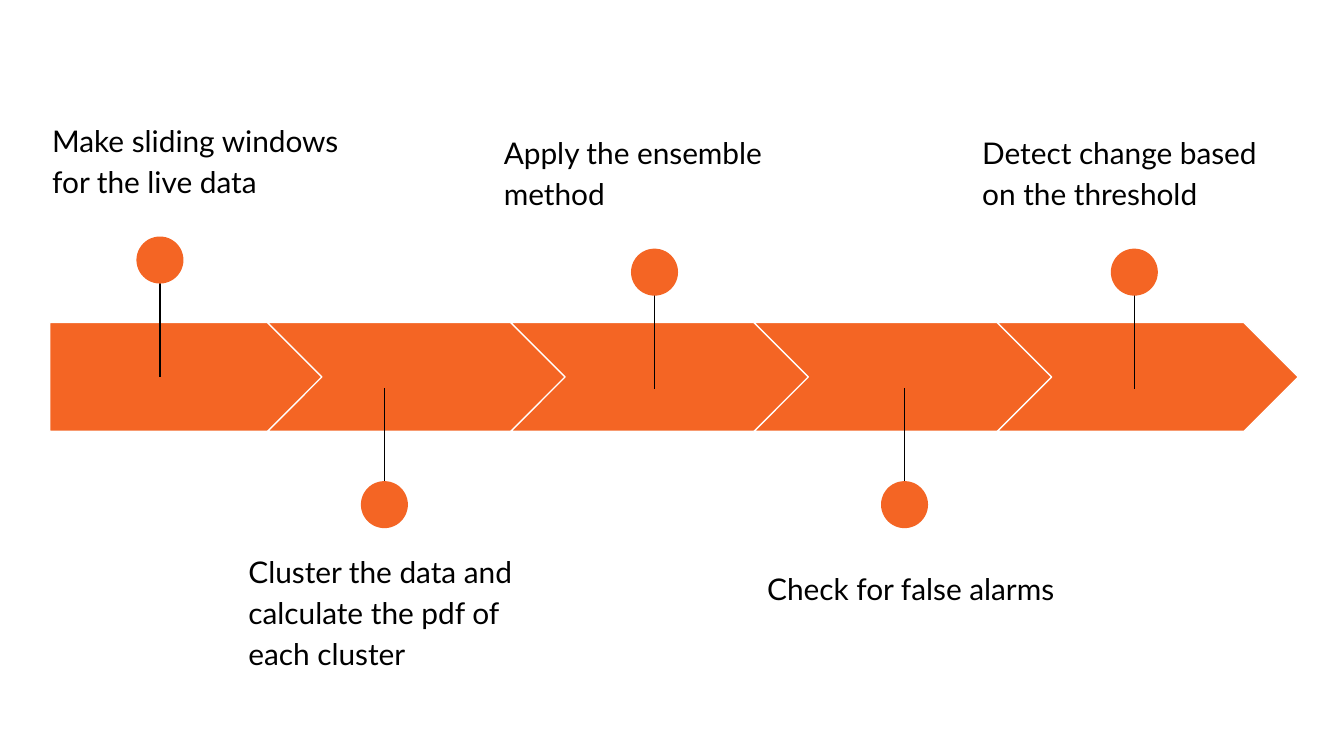
from pptx import Presentation
from pptx.dml.color import RGBColor
from pptx.enum.shapes import MSO_CONNECTOR, MSO_SHAPE
from pptx.enum.text import MSO_ANCHOR
from pptx.oxml.ns import qn
from pptx.util import Inches, Pt
from lxml.etree import SubElement

HUES = {"step": "F46524", "edge": "FFFFFF", "ink": "000000"}
DOT = 0.35
STEM = 0.97

# Widescreen slide, 16:9
deck = Presentation()
deck.slide_width = Inches(10)
deck.slide_height = Inches(10 * 9 / 16)
slide = deck.slides.add_slide(deck.slide_layouts[6])
shapes = slide.shapes


def add_text(text, left, top, width=2.45, height=0.99, size=16, font="Lato", hue="ink"):
    frame = shapes.add_textbox(*map(Inches, (left, top, width, height))).text_frame
    frame.word_wrap = True
    frame.vertical_anchor = MSO_ANCHOR.TOP
    frame.margin_left = frame.margin_right = Inches(0.1)
    frame.margin_top = frame.margin_bottom = Inches(0.1)
    para = frame.paragraphs[0]
    para.line_spacing = 1.15
    para.space_after = Pt(16)
    run = para.add_run()
    run.text = text
    run.font.size = Pt(size)
    run.font.name = font
    run.font.color.rgb = RGBColor.from_string(HUES[hue])


def add_form(kind, left, top, width, height, edge=None):
    form = shapes.add_shape(kind, *map(Inches, (left, top, width, height)))
    form.shadow.inherit = False
    form.fill.solid()
    form.fill.fore_color.rgb = RGBColor.from_string(HUES["step"])
    if edge:
        form.line.color.rgb = RGBColor.from_string(HUES[edge])
        form.line.width = Pt(0.75)
    else:
        form.line.fill.background()


# Arrow band: one pentagon, then four chevrons at an equal pitch
add_form(MSO_SHAPE.PENTAGON, 0.37, 2.4, 2.05, 0.81, edge="edge")
for i in range(4):
    add_form(MSO_SHAPE.CHEVRON, 1.99 + 1.81 * i, 2.4, 2.24, 0.81, edge="edge")

# Steps: text, text left, text top, pin centre, dot top, stem direction
steps = [
    ("Make sliding windows for the live data", 0.29, 0.77, 1.19, 1.76, 1),
    ("Cluster the data and calculate the pdf of each cluster", 1.75, 3.98, 2.86, 3.58, -1),
    ("Apply the ensemble method", 3.65, 0.86, 4.87, 1.85, 1),
    ("Check for false alarms", 5.61, 4.11, 6.73, 3.58, -1),
    ("Detect change based on the threshold", 7.21, 0.86, 8.44, 1.85, 1),
]
for text, left, top, mid, head, way in steps:
    # Stem starts inside the dot and ends in the band
    start = head + DOT / 2 - 0.1 * way
    stem = shapes.add_connector(
        MSO_CONNECTOR.STRAIGHT,
        *map(Inches, (mid, start, mid, start + STEM * way)),
    )
    stem.line.color.rgb = RGBColor.from_string(HUES["ink"])
    stem.line.width = Pt(0.75)
    SubElement(stem._element.spPr, qn("a:effectLst"))

    add_form(MSO_SHAPE.OVAL, mid - DOT / 2, head, DOT, DOT)
    add_text(text, left, top)

deck.save("out.pptx")
